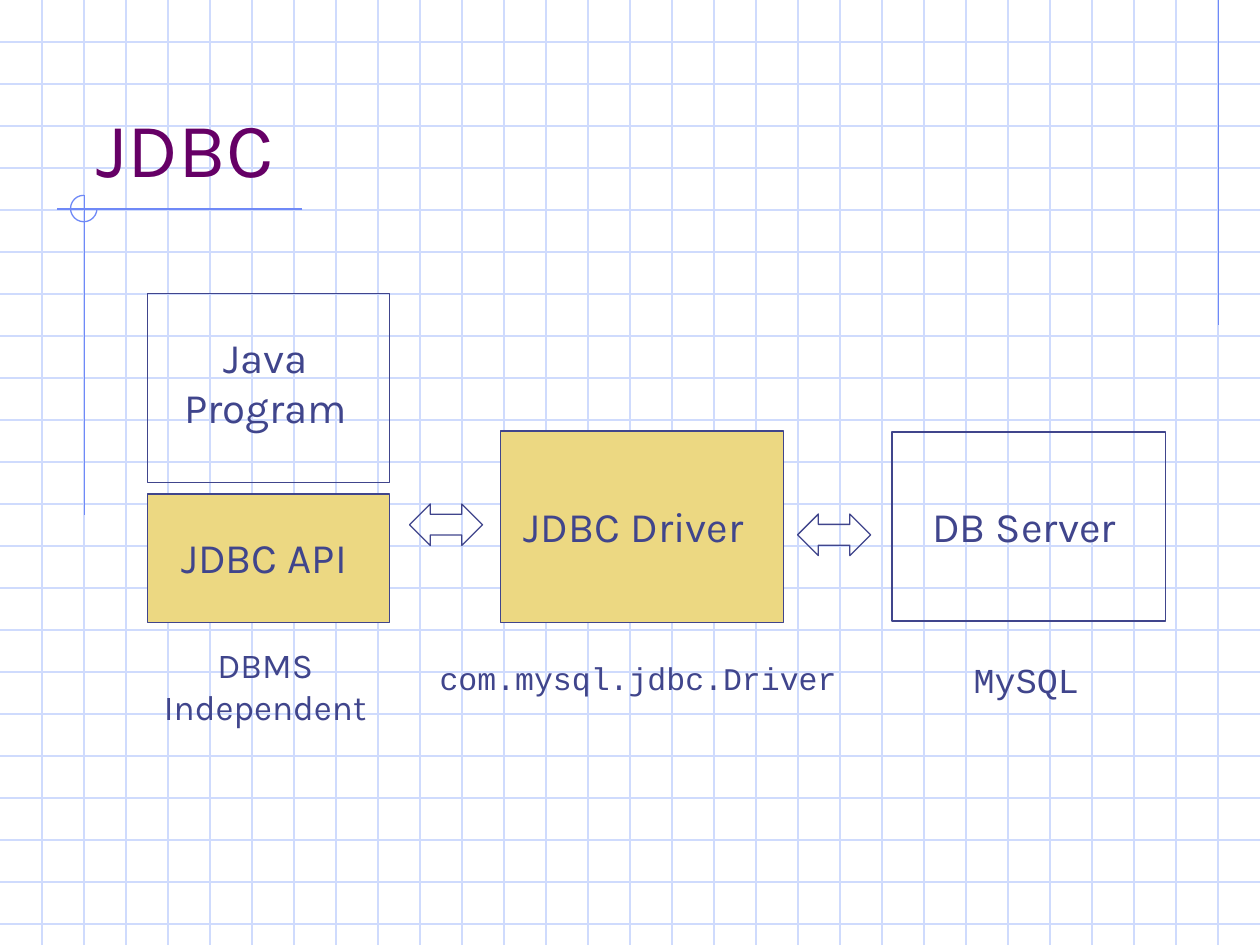
"""Build the JDBC architecture slide on a graph-paper background."""
from lxml.etree import SubElement
from pptx import Presentation
from pptx.dml.color import RGBColor
from pptx.enum.shapes import MSO_CONNECTOR, MSO_SHAPE
from pptx.enum.text import MSO_ANCHOR, MSO_AUTO_SIZE, PP_ALIGN
from pptx.oxml.ns import qn
from pptx.util import Inches, Pt

WIDE, HIGH, CELL = 10, 7.5, 1 / 3
THEME = {
    "grid": "CFDBFD", "rule": "6F89F7", "ink": "40458C", "gold": "ECD882",
    "title": "660066", "sans": "Karla", "mono": "Courier New",
    "stroke": 0.75, "head": 44, "name": 24, "note": 20, "code": 18,
}
RULES = [
    (9.67, 0, 9.67, 2.58),
    (2.4, 1.66, 0.45, 1.66),
    (0.67, 1.55, 0.67, 4.09),
]
RING = (0.56, 1.55, 0.21, 0.21)
TITLE = ("JDBC", (0.67, 0.33, 8.5, 1.25))
PANELS = [
    ((1.17, 2.33, 1.92, 1.5), None),
    ((1.17, 3.92, 1.92, 1.02), "gold"),
    ((3.97, 3.42, 2.25, 1.52), "gold"),
    ((7.08, 3.43, 2.17, 1.5), None),
]
ARROWS = [(3.25, 4, 0.58, 0.33), (6.33, 4.08, 0.58, 0.33)]
LABELS = [
    (["Java", "Program"], (1.32, 2.58, 1.58, 0.9), "name", "sans", None),
    (["JDBC API"], (1.34, 4.17, 1.57, 0.5), "name", "sans", "gold"),
    (["JDBC Driver"], (4.06, 3.92, 2.01, 0.5), "name", "sans", "gold"),
    (["DB Server"], (7.3, 3.92, 1.75, 0.5), "name", "sans", None),
    (["DBMS", "Independent"], (1.16, 5.06, 1.89, 0.77), "note", "sans", None),
    (["com.mysql.jdbc.Driver"], (3.39, 5.18, 3.35, 0.4), "code", "mono", None),
    (["MySQL"], (7.63, 5.18, 1.1, 0.44), "note", "mono", None),
]


def color(key):
    return RGBColor.from_string(THEME[key])


def place(box):
    return [Inches(n) for n in box]


def paint(shape, fill):
    if fill:
        shape.fill.solid()
        shape.fill.fore_color.rgb = color(fill)
    else:
        shape.fill.background()


def stroke(shape, key):
    shape.line.color.rgb = color(key)
    shape.line.width = Pt(THEME["stroke"])


def rule(slide, ends, key):
    line = slide.shapes.add_connector(MSO_CONNECTOR.STRAIGHT, *place(ends))
    stroke(line, key)
    SubElement(line._element.spPr, qn("a:effectLst"))


def draw(slide, kind, box, key, fill=None):
    shape = slide.shapes.add_shape(kind, *place(box))
    shape.shadow.inherit = False
    paint(shape, fill)
    stroke(shape, key)
    return shape


def write(slide, lines, box, size, face, key, fill=None):
    shape = slide.shapes.add_textbox(*place(box))
    paint(shape, fill)
    frame = shape.text_frame
    for i, text in enumerate(lines):
        para = frame.add_paragraph() if i else frame.paragraphs[0]
        para.alignment = PP_ALIGN.CENTER if len(lines) > 1 else PP_ALIGN.LEFT
        run = para.add_run()
        run.text = text
        run.font.name = THEME[face]
        run.font.size = Pt(THEME[size])
        run.font.color.rgb = color(key)
    return frame


def main():
    deck = Presentation()
    deck.slide_width, deck.slide_height = Inches(WIDE), Inches(HIGH)
    slide = deck.slides.add_slide(deck.slide_layouts[6])

    for i in range(1, int(HIGH / CELL) + 1):
        rule(slide, (0, i * CELL, WIDE, i * CELL), "grid")
    for i in range(1, round(WIDE / CELL)):
        rule(slide, (i * CELL, 0, i * CELL, HIGH), "grid")
    for ends in RULES:
        rule(slide, ends, "rule")
    ring = draw(slide, MSO_SHAPE.ARC, RING, "rule")
    ring.adjustments[0], ring.adjustments[1] = 0, 162

    text, box = TITLE
    frame = write(slide, [text], box, "head", "sans", "title")
    frame.word_wrap = True
    frame.vertical_anchor = MSO_ANCHOR.BOTTOM

    for box, fill in PANELS:
        draw(slide, MSO_SHAPE.RECTANGLE, box, "ink", fill)
    for box in ARROWS:
        draw(slide, MSO_SHAPE.LEFT_RIGHT_ARROW, box, "ink")
    for lines, box, size, face, fill in LABELS:
        frame = write(slide, lines, box, size, face, "ink", fill)
        frame.word_wrap = False
        frame.auto_size = MSO_AUTO_SIZE.SHAPE_TO_FIT_TEXT

    deck.save("out.pptx")


if __name__ == "__main__":
    main()
